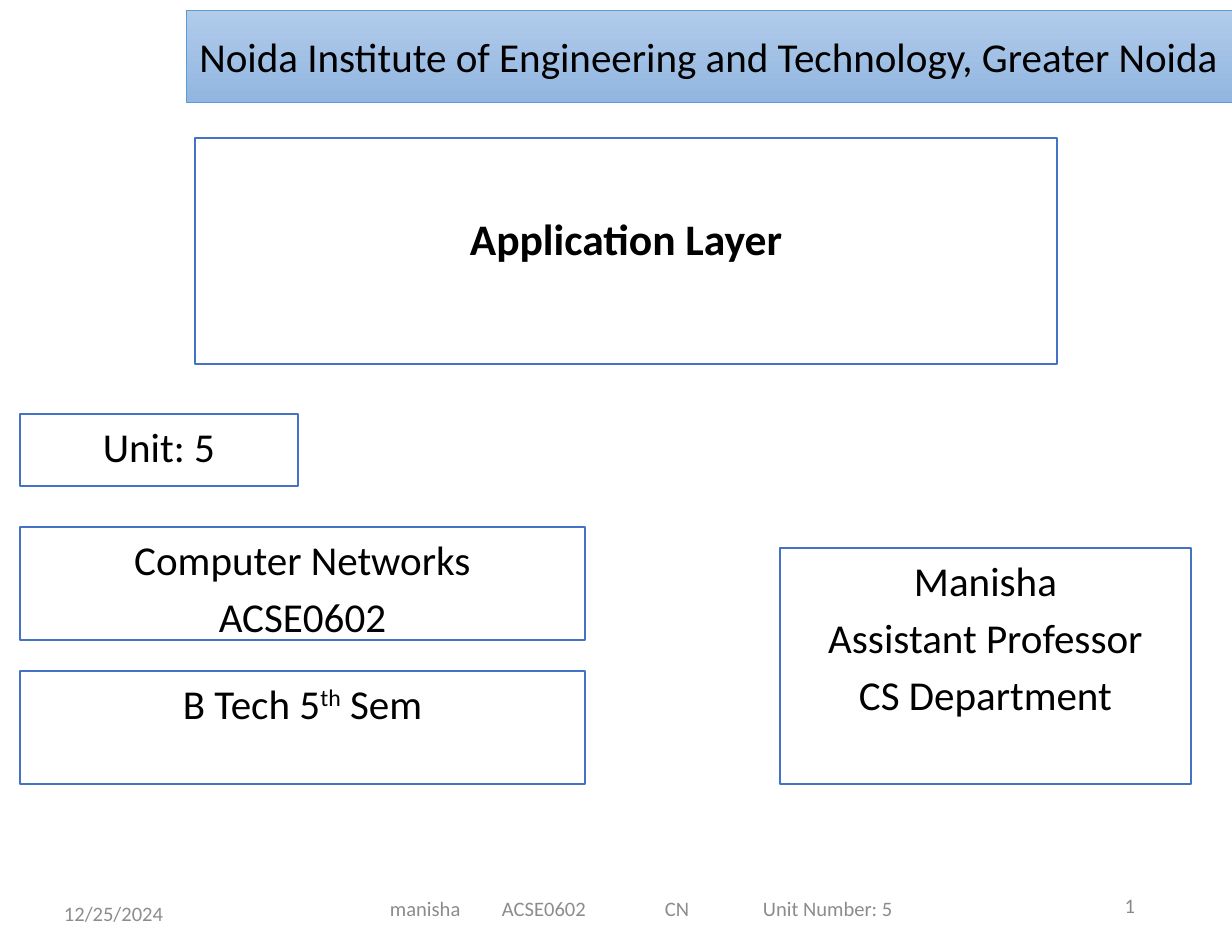
from dataclasses import dataclass
from typing import Any

from pptx import Presentation
from pptx.dml.color import RGBColor
from pptx.enum.shapes import MSO_SHAPE
from pptx.enum.text import MSO_ANCHOR, MSO_AUTO_SIZE, PP_ALIGN
from pptx.util import Emu, Pt

SCALE = 914400 // 112
BLACK, WHITE, BLUE, GREY = "000000", "FFFFFF", "4472C4", "8C8C8C"
SIDE, EDGE = 12, 7


@dataclass
class Box:
    left: int
    top: int
    width: int
    height: int
    lines: tuple[str, ...]
    size: float = 26.4
    color: str = BLACK
    bold: bool = False
    align: PP_ALIGN = PP_ALIGN.CENTER
    anchor: MSO_ANCHOR = MSO_ANCHOR.TOP
    inset: tuple[int, int] = (SIDE, EDGE)


def px(count: int) -> Emu:
    return Emu(count * SCALE)


def rgb(code: str) -> RGBColor:
    return RGBColor.from_string(code)


def assign(item: Any, values: dict[str, Any]) -> None:
    for name, value in values.items():
        setattr(item, name, value)


def place(shape: Any, box: Box) -> None:
    assign(shape, {
        "left": px(box.left), "top": px(box.top),
        "width": px(box.width), "height": px(box.height),
    })


def write(shape: Any, box: Box) -> None:
    """Fill the shape with the box's lines; text between ^ marks is raised."""
    frame = shape.text_frame
    left, top = box.inset
    assign(frame, {
        "word_wrap": True, "auto_size": MSO_AUTO_SIZE.NONE,
        "vertical_anchor": box.anchor,
        "margin_left": px(left), "margin_right": px(SIDE),
        "margin_top": px(top), "margin_bottom": px(EDGE),
    })
    for row, line in enumerate(box.lines):
        para = frame.add_paragraph() if row else frame.paragraphs[0]
        assign(para, {
            "alignment": box.align, "line_spacing": 1.0,
            "space_before": Pt(5 if row else 0),
        })
        for part, text in enumerate(line.split("^")):
            run = para.add_run()
            run.text = text
            assign(run.font, {
                "name": "Calibri", "size": Pt(box.size), "bold": box.bold,
            })
            run.font.color.rgb = rgb(box.color)
            if part % 2:
                run._r.get_or_add_rPr().set("baseline", "30000")


def frame_in(shape: Any, box: Box) -> None:
    """Give the shape a white fill, a blue outline and its text."""
    place(shape, box)
    shape.fill.solid()
    shape.fill.fore_color.rgb = rgb(WHITE)
    shape.line.color.rgb = rgb(BLUE)
    shape.line.width = Pt(1)
    write(shape, box)


def banner(shape: Any, box: Box) -> None:
    place(shape, box)
    shape.fill.gradient()
    shape.fill.gradient_angle = 270
    for stop, code in zip(shape.fill.gradient_stops, ("B1CBE9", "92B6E1")):
        stop.color.rgb = rgb(code)
    shape.line.color.rgb = rgb("5B9BD5")
    shape.line.width = Pt(0.5)
    write(shape, box)


TITLE = Box(186, 10, 1046, 92,
            ("Noida Institute of Engineering and Technology, Greater Noida",),
            anchor=MSO_ANCHOR.MIDDLE)
TOPIC = Box(195, 138, 862, 226, ("Application Layer",), size=28, bold=True,
            inset=(SIDE, 74))
CARDS = (
    Box(780, 548, 411, 236, ("Manisha", "Assistant Professor", "CS Department")),
    Box(20, 414, 278, 72, ("Unit: 5",)),
    Box(20, 527, 565, 113, ("Computer Networks", "ACSE0602")),
    Box(20, 671, 565, 113, ("B Tech 5^th^ Sem",)),
)
SMALL = {"size": 13.2, "anchor": MSO_ANCHOR.MIDDLE}
DATE = Box(52, 889, 288, 49, ("12/25/2024",), color=GREY,
           align=PP_ALIGN.LEFT, **SMALL)
PAGE = Box(1071, 880, 76, 50, ("1",), color="898989",
           align=PP_ALIGN.RIGHT, **SMALL)
COURSE = Box(302, 884, 678, 49, ("manisha\tACSE0602\tCN\tUnit Number: 5",),
             color=GREY, align=PP_ALIGN.LEFT, inset=(88, EDGE), **SMALL)
STOPS = (112, 275, 373)


def add_tabs(para: Any) -> None:
    tabs = para._p.get_or_add_pPr()
    group = tabs.makeelement(tabs.tag.replace("pPr", "tabLst"), {})
    for stop in STOPS:
        group.append(group.makeelement(group.tag.replace("tabLst", "tab"),
                                       {"pos": str(px(stop)), "algn": "l"}))
    tabs.append(group)


def main() -> None:
    deck = Presentation()
    deck.slide_width, deck.slide_height = px(1232), px(952)
    slide = deck.slides.add_slide(deck.slide_layouts[0])
    banner(slide.shapes.title, TITLE)
    frame_in(slide.placeholders[1], TOPIC)
    for card in CARDS:
        shape = slide.shapes.add_shape(MSO_SHAPE.RECTANGLE, 0, 0, 0, 0)
        shape.shadow.inherit = False
        frame_in(shape, card)
    for note in (DATE, PAGE, COURSE):
        shape = slide.shapes.add_textbox(0, 0, 0, 0)
        place(shape, note)
        if note is COURSE:
            add_tabs(shape.text_frame.paragraphs[0])
        write(shape, note)
    deck.save("out.pptx")


if __name__ == "__main__":
    main()
